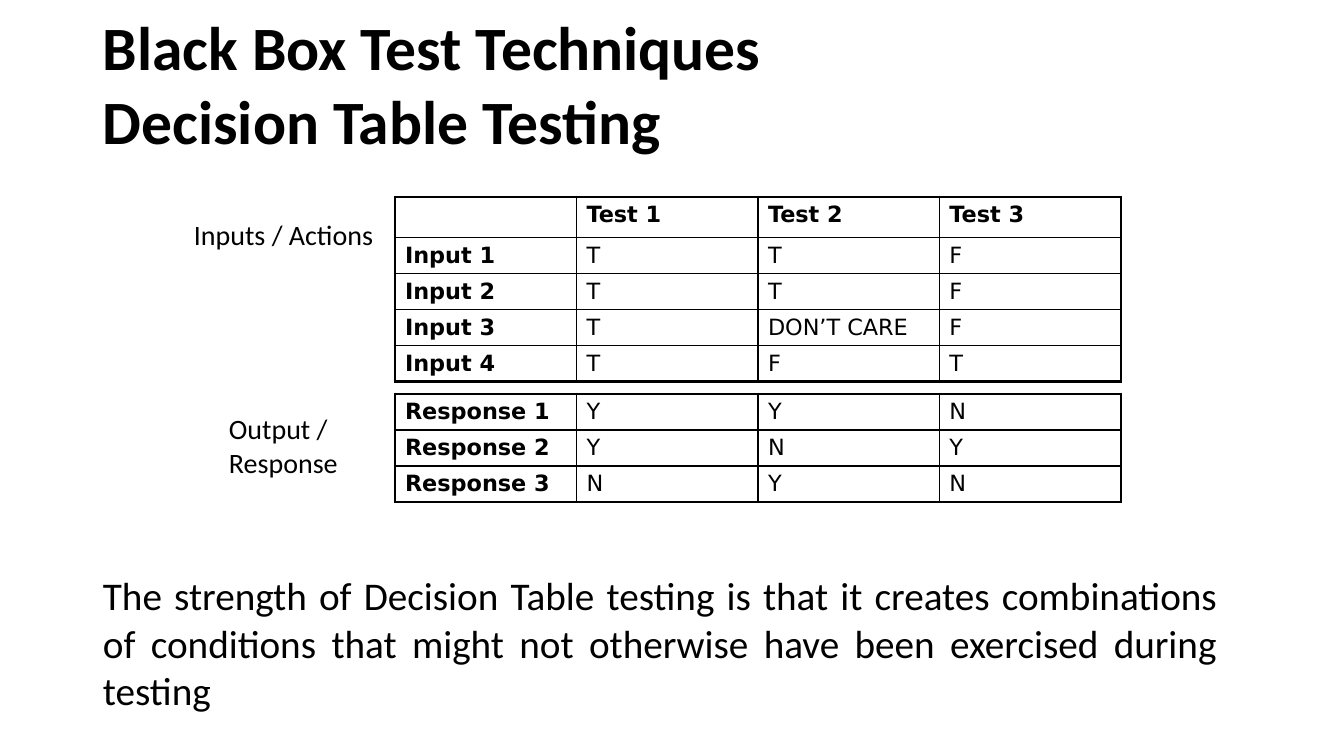
from lxml import etree
from pptx import Presentation
from pptx.dml.color import RGBColor
from pptx.enum.text import MSO_ANCHOR, PP_ALIGN
from pptx.oxml.ns import qn
from pptx.util import Emu, Pt

PX = 914400 / 100.8
BLACK = RGBColor(0, 0, 0)
SHADOW = RGBColor(192, 192, 192)
TEXT_FONT = "Calibri"
TABLE_FONT = "DejaVu Sans"
TOP, MIDDLE, BOTTOM = MSO_ANCHOR.TOP, MSO_ANCHOR.MIDDLE, MSO_ANCHOR.BOTTOM
LEFT, JUSTIFY = PP_ALIGN.LEFT, PP_ALIGN.JUSTIFY
ROW_HEIGHT = 36
THIN, THICK = 1, 2.25

INPUTS = [
    ["", "Test 1", "Test 2", "Test 3"],
    ["Input 1", "T", "T", "F"],
    ["Input 2", "T", "T", "F"],
    ["Input 3", "T", "DON’T CARE", "F"],
    ["Input 4", "T", "F", "T"],
]
RESPONSES = [
    ["Response 1", "Y", "Y", "N"],
    ["Response 2", "Y", "N", "Y"],
    ["Response 3", "N", "Y", "N"],
]
STRENGTH = (
    "The strength of Decision Table testing is that it creates combinations "
    "of conditions that might not otherwise have been exercised during testing"
)


def px(length):
    return Emu(round(length * PX))


def style_span(span, size, font, bold=False):
    span.font.size = Pt(size)
    span.font.name = font
    span.font.bold = bold
    span.font.color.rgb = BLACK


def add_text(page, area, text, size, bold=False, anchor=TOP, align=LEFT, wrap=True):
    box = page.shapes.add_textbox(*map(px, area))
    frame = box.text_frame
    frame.word_wrap = wrap
    frame.vertical_anchor = anchor
    frame.text = text
    for para in frame.paragraphs:
        para.alignment = align
        for span in para.runs:
            style_span(span, size, TEXT_FONT, bold)
    return box


def add_title(page, area):
    title = add_text(page, area, "Black Box Test Techniques\nDecision Table Testing",
                     44, bold=True, anchor=MIDDLE)
    for para in title.text_frame.paragraphs:
        for span in para.runs:
            effects = etree.Element(qn("a:effectLst"))
            shadow = etree.SubElement(effects, qn("a:outerShdw"),
                                      blurRad="38100", dist="38100", dir="2700000")
            etree.SubElement(shadow, qn("a:srgbClr"), val=str(SHADOW))
            span.font.fill._xPr.find(qn("a:solidFill")).addnext(effects)


def set_borders(cell, widths):
    properties = cell._tc.get_or_add_tcPr()
    for position, (side, width) in enumerate(widths.items()):
        line = etree.Element(qn(f"a:ln{side}"), w=str(Pt(width)))
        fill = etree.SubElement(line, qn("a:solidFill"))
        etree.SubElement(fill, qn("a:srgbClr"), val=str(BLACK))
        properties.insert(position, line)


def add_decision_table(page, left, top, width, rows):
    row_count, column_count = len(rows), len(rows[0])
    frame = page.shapes.add_table(row_count, column_count, px(left), px(top),
                                  px(width), px(ROW_HEIGHT * row_count))
    table = frame.table
    table.first_row = False
    table.horz_banding = False
    for row, values in enumerate(rows):
        for column, value in enumerate(values):
            cell = table.cell(row, column)
            cell.fill.background()
            cell.text = value
            for span in cell.text_frame.paragraphs[0].runs:
                style_span(span, 16, TABLE_FONT, column == 0 or value.startswith("Test"))
            set_borders(cell, {
                "L": THICK if column == 0 else THIN,
                "R": THICK if column == column_count - 1 else THIN,
                "T": THICK if row == 0 else THIN,
                "B": THICK if row == row_count - 1 else THIN,
            })


def add_decision_tables(page, left, top, width):
    add_decision_table(page, left, top, width, INPUTS)
    add_decision_table(page, left, top + 197, width, RESPONSES)
    add_text(page, (left - 211, top + 16, 202, 44), "Inputs / Actions", 20, wrap=False)
    add_text(page, (left - 176, top + 210, 134, 78), "Output / Response", 20)


def main():
    deck = Presentation()
    deck.slide_width, deck.slide_height = px(1344), px(756)
    page = deck.slides.add_slide(deck.slide_layouts[6])
    add_decision_tables(page, 395, 197, 726)
    add_text(page, (93, 531, 1134, 187), STRENGTH, 28, anchor=BOTTOM, align=JUSTIFY)
    add_title(page, (93, 52, 938, 62))
    deck.save("out.pptx")


if __name__ == "__main__":
    main()
